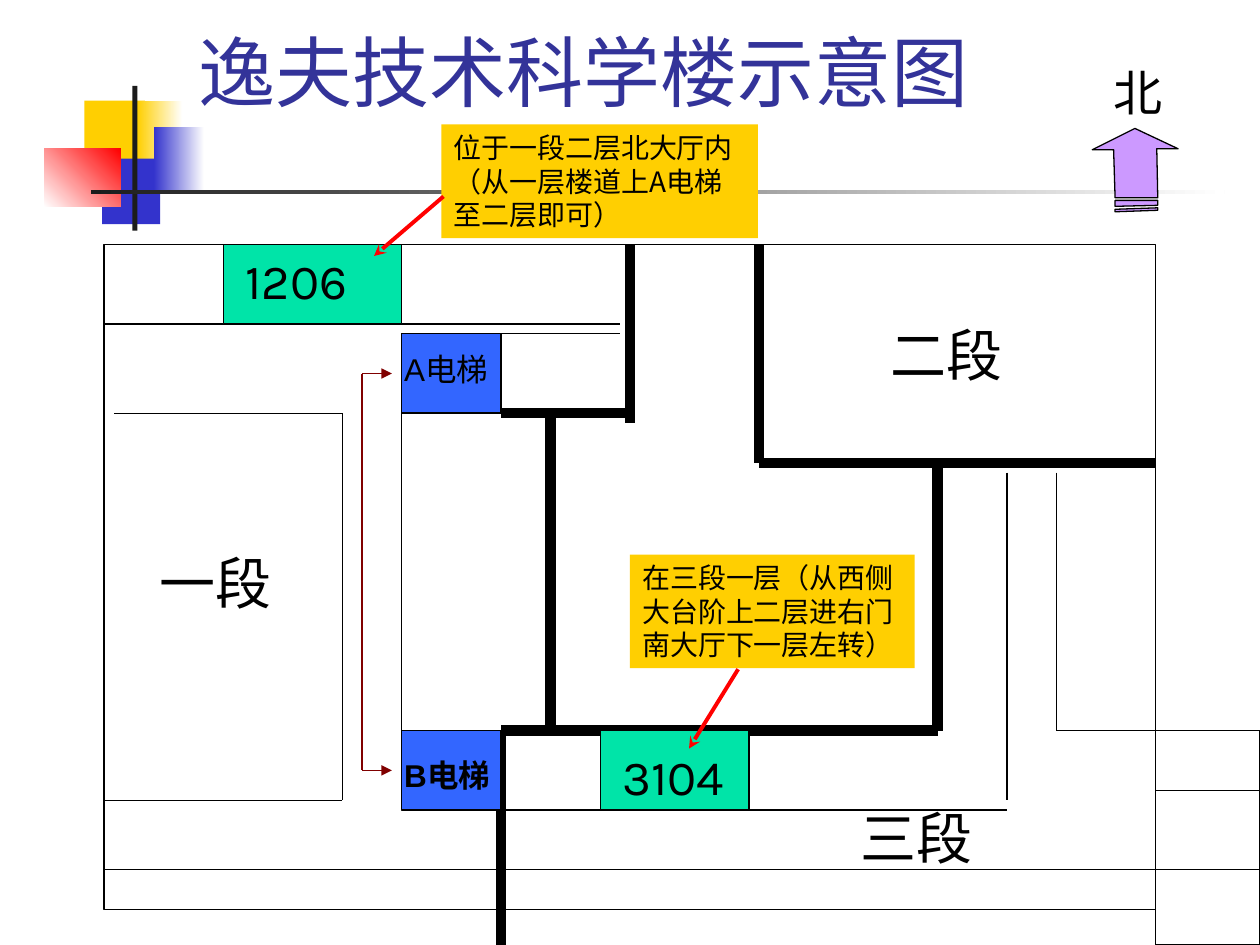
from dataclasses import dataclass

from lxml import etree
from pptx import Presentation
from pptx.dml.color import RGBColor
from pptx.enum.shapes import MSO_CONNECTOR, MSO_SHAPE
from pptx.enum.text import MSO_ANCHOR, MSO_AUTO_SIZE
from pptx.oxml.ns import qn
from pptx.util import Cm, Pt

RECT = MSO_SHAPE.RECTANGLE
STRAIGHT = MSO_CONNECTOR.STRAIGHT
TOP, BOTTOM = MSO_ANCHOR.TOP, MSO_ANCHOR.BOTTOM
GROW, FIXED = MSO_AUTO_SIZE.SHAPE_TO_FIT_TEXT, MSO_AUTO_SIZE.NONE


@dataclass(frozen=True)
class Theme:
    """Colours, fonts, type sizes and line widths."""
    black: str = "000000"
    white: str = "FFFFFF"
    ink: str = "1C1C1C"
    title: str = "333399"
    yellow: str = "FFCF01"
    blue: str = "3333CC"
    red: str = "FF0000"
    room: str = "00E4A8"
    lift: str = "3366FF"
    route: str = "800000"
    north: str = "CC99FF"
    font: str = "Karla"
    cjk: str = "Noto Sans CJK SC"
    lift_font: str = "Arial"
    title_size: float = 44
    section_size: float = 32
    number_size: float = 28
    lift_size: float = 18
    note_size: float = 16
    thin: float = 0.75
    pointer: float = 2.25
    wall: float = 6


T = Theme()


def rgb(color):
    """Turn a hex string into a colour."""
    return RGBColor.from_string(color)


def style(sp, fill=None, line=None):
    """Set the fill, a colour or a (from, to, angle) gradient, and the outline."""
    sp.shadow.inherit = False
    if fill is None:
        sp.fill.background()
    elif isinstance(fill, tuple):
        sp.fill.gradient()
        sp.fill.gradient_angle = fill[2]
        for stop, color in zip(sp.fill.gradient_stops, fill):
            stop.color.rgb = rgb(color)
    else:
        sp.fill.solid()
        sp.fill.fore_color.rgb = rgb(fill)
    if line:
        sp.line.color.rgb = rgb(line)
        sp.line.width = Pt(T.thin)
    else:
        sp.line.fill.background()


def add_rect(s, x, y, w, h, fill=None, line=None):
    """Add a rectangle."""
    sp = s.shapes.add_shape(RECT, Cm(x), Cm(y), Cm(w), Cm(h))
    style(sp, fill, line)
    return sp


def add_line(s, start, end, color=T.black, width=T.thin, head=None):
    """Add a straight line with an optional arrowhead at its end."""
    c = s.shapes.add_connector(STRAIGHT, *map(Cm, start + end))
    c.line.color.rgb = rgb(color)
    c.line.width = Pt(width)
    if head:
        etree.SubElement(c.line._get_or_add_ln(), qn("a:tailEnd"), type=head)
    etree.SubElement(c._element.spPr, qn("a:effectLst"))


def add_text(s, x, y, w, h, text, size, font=T.font, color=T.black,
             bold=False, fill=None, anchor=TOP, fit=GROW):
    """Add a wrapped text box holding one run."""
    sp = s.shapes.add_textbox(Cm(x), Cm(y), Cm(w), Cm(h))
    if fill:
        style(sp, fill)
    tf = sp.text_frame
    tf.word_wrap = True
    tf.auto_size = fit
    tf.vertical_anchor = anchor
    r = tf.paragraphs[0].add_run()
    r.text = text
    r.font.name = font
    r.font.size = Pt(size)
    r.font.bold = bold
    r.font.color.rgb = rgb(color)
    etree.SubElement(r._r.get_or_add_rPr(), qn("a:ea"), typeface=T.cjk)


def add_ornament(s, x, y):
    """Draw the coloured squares and the crossed rules."""
    for dx, dy, w, h, fill in (
        (0.81, 0.3, 1.22, 1.32, T.yellow),
        (1.88, 0.3, 0.91, 1.32, (T.yellow, T.white, 0)),
        (1.17, 1.47, 1.17, 1.32, T.blue),
        (2.21, 0.84, 1.02, 1.32, (T.blue, T.white, 0)),
        (0, 1.27, 1.55, 1.17, (T.white, T.red, 45)),
        (1.78, 0, 0.1, 2.92, T.ink),
        (0.94, 2.11, 22.86, 0.08, (T.ink, T.white, 0)),
    ):
        add_rect(s, x + dx, y + dy, w, h, fill)


def add_compass(s, x, y):
    """Draw the north label above its striped arrow."""
    add_text(s, x + 0.18, y, 1.8, 1.45, "北", T.number_size)
    outlines = (
        ((1.73, 0.41), (1.3, 0.41), (1.32, 1.4), (0.46, 1.4),
         (0.43, 0.43), (0, 0.43), (0.86, 0)),
        ((1.32, 1.55), (0.46, 1.57), (0.46, 1.45), (1.32, 1.45)),
        ((1.32, 1.65), (0.46, 1.68), (0.46, 1.63), (1.32, 1.6)),
    )
    first, *bars = [[(Cm(px), Cm(py)) for px, py in o] for o in outlines]
    fb = s.shapes.build_freeform(*first[0])
    fb.add_line_segments(first[1:], close=True)
    for bar in bars:
        fb.move_to(*bar[0])
        fb.add_line_segments(bar[1:], close=True)
    style(fb.convert_to_shape(Cm(x), Cm(y + 1.45)), T.north, T.black)


def add_plan(s, x, y):
    """Draw the building outline, walls and corridors."""
    def lines(segments, width):
        for x1, y1, x2, y2 in segments:
            add_line(s, (x + x1, y + y1), (x + x2, y + y2), width=width)

    add_rect(s, x, y, 21.2, 13.4, line=T.black)
    add_rect(s, x + 21.2, y + 9.8, 2.1, 4.32, line=T.black)
    lines((
        (10.6, 0, 10.6, 3.6), (8, 3.4, 10.6, 3.4), (9, 3.4, 9, 9.8),
        (8, 9.8, 16.8, 9.8), (8, 9.8, 8, 14.12), (13.2, 0, 13.2, 4.4),
        (13.2, 4.4, 21.2, 4.4), (16.8, 4.4, 16.8, 9.8),
    ), T.wall)
    lines((
        (6, 3.4, 6, 11.2), (0, 1.6, 10.4, 1.6), (7.8, 1.8, 10.4, 1.8),
        (0, 12.6, 8, 12.6), (8, 12.6, 23.3, 12.6), (4.8, 3.4, 4.8, 11.2),
        (0, 11.2, 4.8, 11.2), (0.2, 3.4, 4.8, 3.4), (6, 11.4, 18.2, 11.4),
        (18.2, 4.6, 18.2, 11.2), (21.2, 11, 23.3, 11),
        (19.2, 4.6, 19.2, 9.8), (19.2, 9.8, 21.4, 9.8),
    ), T.thin)


def add_places(s, x, y):
    """Mark sections, rooms and lifts, with the route between the lifts."""
    for dx, dy, w, text in ((15.6, 1.4, 3.4, "二段"), (0.87, 6, 4, "一段"),
                            (15, 11.15, 3.94, "三段")):
        add_text(s, x + dx, y + dy, w, 1.62, text, T.section_size)
    for dx, dy, w, drop, text in ((2.4, 0, 3.6, 0, "1206"),
                                  (10, 9.8, 3, 0.2, "3104")):
        add_rect(s, x + dx, y + dy, w, 1.6, T.room, T.black)
        add_text(s, x + dx + 0.2, y + dy + drop, 3.3, 1.45, text, T.number_size)
    for dy, drop, text, bold in ((1.8, 0.2, "A电梯", False),
                                 (9.8, 0.38, "B电梯", True)):
        add_rect(s, x + 6, y + dy, 2, 1.6, T.lift, T.black)
        add_text(s, x + 5.8, y + dy + drop, 2.8, 1.02, text, T.lift_size,
                 T.lift_font, bold=bold)
        add_line(s, (x + 5.2, y + dy + 0.8), (x + 5.8, y + dy + 0.8),
                 T.route, head="triangle")
    add_line(s, (x + 5.2, y + 2.6), (x + 5.2, y + 10.6), T.route)


def add_notes(s, x, y):
    """Place the direction notes and their pointers."""
    for dx, dy, w, text, start, end in (
        (6.8, -2.42, 6.38, "位于一段二层北大厅内（从一层楼道上A电梯至二层即可）",
         (6.84, -0.97), (5.44, 0.23)),
        (10.6, 6.25, 5.74, "在三段一层（从西侧大台阶上二层进右门南大厅下一层左转）",
         (12.78, 8.56), (11.79, 10.16)),
    ):
        add_text(s, x + dx, y + dy, w, 2.29, text, T.note_size, T.cjk,
                 fill=T.yellow)
        add_line(s, (x + start[0], y + start[1]), (x + end[0], y + end[1]),
                 T.red, T.pointer, "stealth")


def main():
    """Build and save the slide."""
    prs = Presentation()
    prs.slide_width, prs.slide_height = Cm(25.4), Cm(19.05)
    s = prs.slides.add_slide(prs.slide_layouts[6])
    add_ornament(s, 0.89, 1.73)
    add_text(s, 3.76, -0.69, 21.64, 3.18, "逸夫技术科学楼示意图", T.title_size,
             color=T.title, anchor=BOTTOM, fit=FIXED)
    for draw in (add_plan, add_places, add_notes):
        draw(s, 2.1, 4.93)
    add_compass(s, 22.02, 1.14)
    prs.save("out.pptx")


if __name__ == "__main__":
    main()
